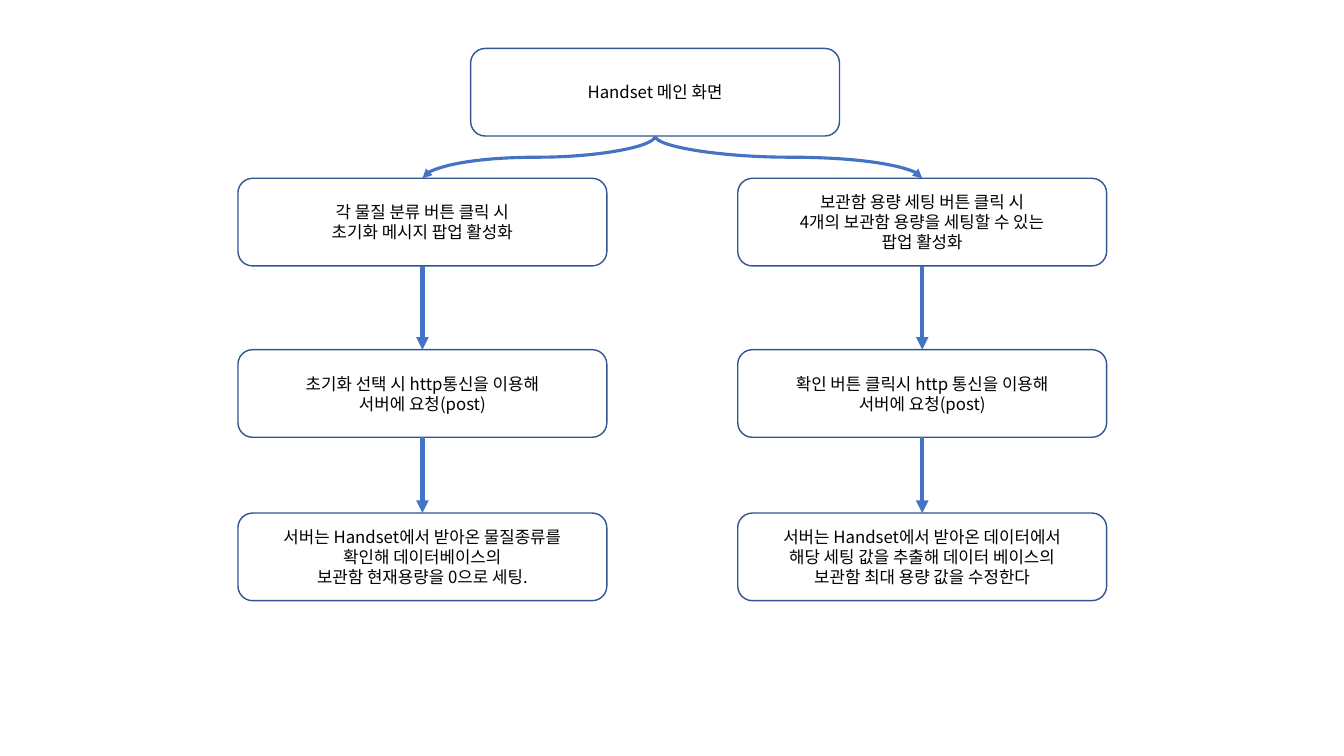
"""Flowchart of an app's main screen with its reset and capacity setting branches."""
from lxml import etree
from pptx import Presentation
from pptx.dml.color import RGBColor
from pptx.enum.shapes import MSO_CONNECTOR, MSO_SHAPE
from pptx.enum.text import MSO_ANCHOR, PP_ALIGN
from pptx.oxml.ns import qn
from pptx.util import Pt

ROUNDED = MSO_SHAPE.ROUNDED_RECTANGLE
STRAIGHT, CURVE = MSO_CONNECTOR.STRAIGHT, MSO_CONNECTOR.CURVE
MIDDLE, CENTER = MSO_ANCHOR.MIDDLE, PP_ALIGN.CENTER
WHITE = RGBColor(0xFF, 0xFF, 0xFF)
BLACK = RGBColor(0x00, 0x00, 0x00)
OUTLINE = RGBColor(0x32, 0x54, 0x91)
ARROW = RGBColor(0x44, 0x72, 0xC4)
FONT = "Noto Sans CJK KR"

BOX_W, BOX_H = 263.5, 62.6
MAIN_X, MAIN_Y = 336.2, 34.6
ROW_TOPS = [127.4, 249.8, 366.5]
BRANCHES = [
    (170, 90, [
        ["각 물질 분류 버튼 클릭 시", "초기화 메시지 팝업 활성화"],
        ["초기화 선택 시 http통신을 이용해", "서버에 요청(post)"],
        ["서버는 Handset에서 받아온 물질종류를", "확인해 데이터베이스의",
         "보관함 현재용량을 0으로 세팅."],
    ]),
    (527, 270, [
        ["보관함 용량 세팅 버튼 클릭 시", "4개의 보관함 용량을 세팅할 수 있는", "팝업 활성화"],
        ["확인 버튼 클릭시 http 통신을 이용해", "서버에 요청(post)"],
        ["서버는 Handset에서 받아온 데이터에서", "해당 세팅 값을 추출해 데이터 베이스의",
         "보관함 최대 용량 값을 수정한다"],
    ]),
]

prs = Presentation()
prs.slide_width, prs.slide_height = Pt(960), Pt(540)
s = prs.slides.add_slide(prs.slide_layouts[6])


def add_box(x, y, lines):
    sp = s.shapes.add_shape(ROUNDED, Pt(x), Pt(y), Pt(BOX_W), Pt(BOX_H))
    sp.shadow.inherit = False
    sp.fill.solid()
    sp.fill.fore_color.rgb = WHITE
    sp.line.color.rgb = OUTLINE
    sp.line.width = Pt(1)
    tf = sp.text_frame
    tf.word_wrap = True
    tf.vertical_anchor = MIDDLE
    for i, line in enumerate(lines):
        p = tf.add_paragraph() if i else tf.paragraphs[0]
        p.alignment = CENTER
        r = p.add_run()
        r.text = line
        r.font.name = FONT
        r.font.size = Pt(12)
        r.font.color.rgb = BLACK
        etree.SubElement(r.font._element, qn("a:ea"), typeface=FONT)
    return sp


def add_arrow(kind, x1, y1, x2, y2, width):
    arrow = s.shapes.add_connector(kind, Pt(x1), Pt(y1), Pt(x2), Pt(y2))
    arrow.line.color.rgb = ARROW
    arrow.line.width = Pt(width)
    etree.SubElement(arrow.line._get_or_add_ln(), qn("a:tailEnd"), type="triangle")
    etree.SubElement(arrow._element.spPr, qn("a:effectLst"))
    return arrow


add_box(MAIN_X, MAIN_Y, ["Handset 메인 화면"])
main_cx, main_bottom = MAIN_X + BOX_W / 2, MAIN_Y + BOX_H
drop = ROW_TOPS[0] - main_bottom
mid_y = main_bottom + drop / 2

for x, angle, steps in BRANCHES:
    cx = x + BOX_W / 2
    boxes = [add_box(x, y, lines) for y, lines in zip(ROW_TOPS, steps)]
    for upper, lower, y in zip(boxes, boxes[1:], ROW_TOPS):
        arrow = add_arrow(STRAIGHT, cx, y + BOX_H, cx, y + BOX_H, 3)
        arrow.begin_connect(upper, 2)
        arrow.end_connect(lower, 0)

    # The curve is laid out on its side, then turned to run downwards.
    mid_x, reach = (main_cx + cx) / 2, abs(cx - main_cx)
    half = drop / 2 if angle == 90 else -drop / 2
    curve = add_arrow(CURVE, mid_x - half, mid_y - reach / 2,
                      mid_x + half, mid_y + reach / 2, 2.25)
    curve.rotation = angle

prs.save("out.pptx")
